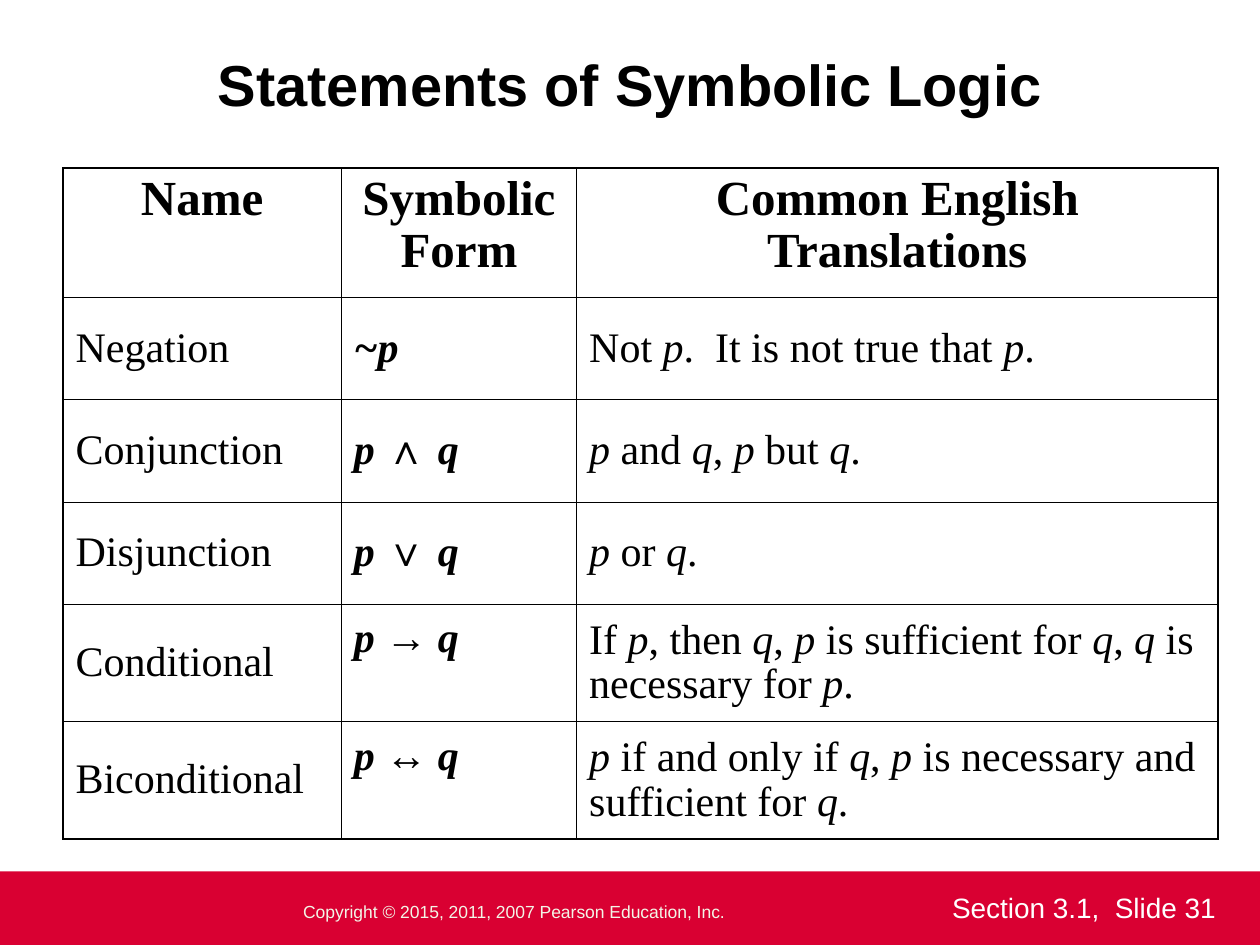
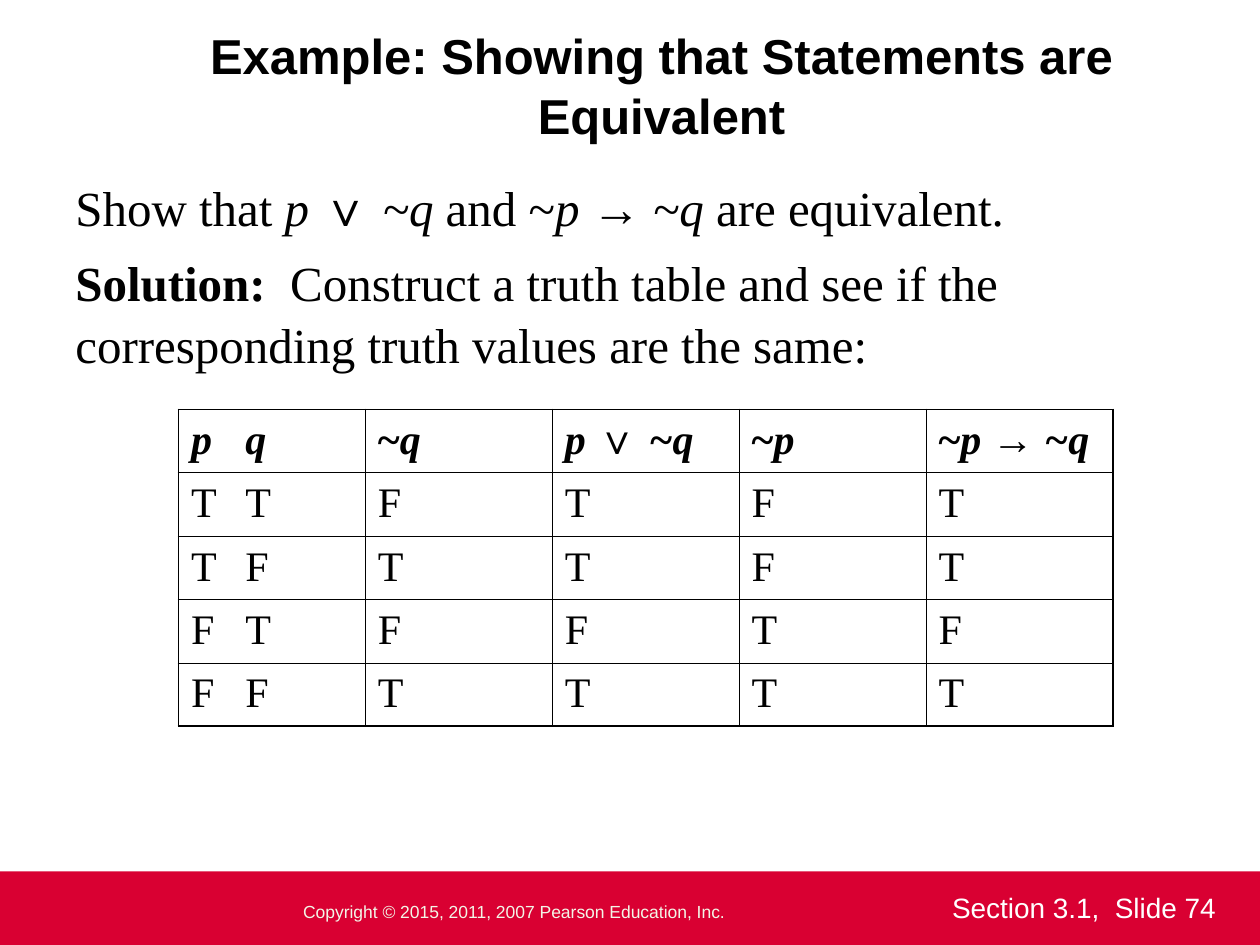
from dataclasses import dataclass
from itertools import groupby

from lxml.etree import SubElement
from pptx import Presentation
from pptx.dml.color import RGBColor
from pptx.enum.shapes import MSO_SHAPE
from pptx.enum.text import MSO_ANCHOR, MSO_AUTO_SIZE, PP_ALIGN
from pptx.oxml.ns import qn
from pptx.util import Pt


@dataclass(frozen=True)
class Theme:
    ink: str = "000000"
    paper: str = "FFFFFF"
    band: str = "D90032"
    copyright: str = "F3F5E7"
    sans: str = "Arial"
    serif: str = "Times New Roman"
    title_size: float = 33
    heading_size: float = 28
    cell_size: float = 24
    section_size: float = 16
    copyright_size: float = 10
    outer_line: float = 1.08
    inner_line: float = 0.45


T = Theme()
LOGIC_SYMBOLS = "∧∨→↔"
SYMBOL_TOP = 7
PAIR_TAB = 31

STATEMENTS = [
    ["|Name|", "|Symbolic Form|", "|Common English Translations|"],
    ["Negation", "|*~p*|", "Not *p*.  It is not true that *p*."],
    ["Conjunction", "|*p ∧ q*|", "*p* and *q*, *p* but *q*."],
    ["Disjunction", "|*p ∨ q*|", "*p* or *q*."],
    ["Conditional", "|*p → q*|",
     "If *p*, then *q*, *p* is sufficient for *q*, *q* is necessary for *p*."],
    ["Biconditional", "|*p ↔ q*|",
     "*p* if and only if *q*, *p* is necessary and sufficient for *q*."],
]

TRUTH_VALUES = [
    ["|*p\tq*|", "|~*q*|", "|*p ∨ ~q*|", "|~*p*|", "|~*p → ~q*|"],
    ["T\tT", "F", "T", "F", "T"],
    ["T\tF", "T", "T", "F", "T"],
    ["F\tT", "F", "F", "T", "F"],
    ["F\tF", "T", "T", "T", "T"],
]


def set_attrs(obj, values):
    for name, value in values.items():
        setattr(obj, name, value)


def add_run(p, text, size, font, color=T.ink, **style):
    r = p.add_run()
    r.text = text
    set_attrs(r.font, {"size": Pt(size), "name": font, **style})
    r.font.color.rgb = RGBColor.from_string(color)


def add_rich_text(p, markup, size):
    """Bars toggle bold, asterisks toggle italic; logic symbols stay upright."""
    for i, chunk in enumerate(markup.split("|")):
        for j, piece in enumerate(chunk.split("*")):
            for is_symbol, chars in groupby(piece, lambda c: c in LOGIC_SYMBOLS):
                add_run(p, "".join(chars), size, T.sans if is_symbol else T.serif,
                        bold=i % 2 == 1, italic=j % 2 == 1 and not is_symbol)


def add_text_box(s, box):
    tf = s.shapes.add_textbox(*map(Pt, box)).text_frame
    tf.word_wrap = True
    return tf


def add_footer(s, number):
    band = s.shapes.add_shape(MSO_SHAPE.RECTANGLE, *map(Pt, (0, 498, 720, 42)))
    band.shadow.inherit = False
    band.fill.solid()
    band.fill.fore_color.rgb = RGBColor.from_string(T.band)
    band.line.fill.background()

    tf = add_text_box(s, (144, 508.5, 270, 24.5))
    set_attrs(tf, {"vertical_anchor": MSO_ANCHOR.MIDDLE, "margin_left": 0,
                   "margin_right": 0, "margin_top": 0, "margin_bottom": 0})
    p = tf.paragraphs[0]
    p.alignment = PP_ALIGN.RIGHT
    add_run(p, "Copyright © 2015, 2011, 2007 Pearson Education, Inc.",
            T.copyright_size, T.sans, T.copyright)

    tf = add_text_box(s, (537, 505.5, 183, 26))
    add_run(tf.paragraphs[0], f"Section 3.1,  Slide {number}",
            T.section_size, T.sans, T.paper)


def add_slide(prs, number, title, box, size):
    s = prs.slides.add_slide(prs.slide_layouts[5])
    sp = s.shapes.title
    set_attrs(sp, dict(zip(("left", "top", "width", "height"), map(Pt, box))))
    sp.fill.solid()
    sp.fill.fore_color.rgb = RGBColor.from_string(T.paper)
    tf = sp.text_frame
    set_attrs(tf, {"vertical_anchor": MSO_ANCHOR.MIDDLE, "word_wrap": True,
                   "auto_size": MSO_AUTO_SIZE.NONE})
    p = tf.paragraphs[0]
    set_attrs(p, {"alignment": PP_ALIGN.CENTER, "line_spacing": 1.03})
    add_run(p, title, size, T.sans, bold=True)
    add_footer(s, number)
    return s


def add_body(s, box, paragraphs):
    tf = add_text_box(s, box)
    for i, markup in enumerate(paragraphs):
        p = tf.add_paragraph() if i else tf.paragraphs[0]
        set_attrs(p, {"line_spacing": 1.06, "space_before": Pt(7 if i else 0)})
        add_rich_text(p, markup, T.heading_size)


def set_borders(cell, outer_sides):
    tcPr = cell._tc.get_or_add_tcPr()
    for side, is_outer in outer_sides.items():
        width = T.outer_line if is_outer else T.inner_line
        ln = SubElement(tcPr, qn(f"a:ln{side}"), w=str(Pt(width)))
        fill = SubElement(ln, qn("a:solidFill"))
        SubElement(fill, qn("a:srgbClr"), val=T.ink)


def add_tab_stop(p, position):
    tabs = SubElement(p._p.get_or_add_pPr(), qn("a:tabLst"))
    SubElement(tabs, qn("a:tab"), pos=str(Pt(position)), algn="l")


def fill_cell(cell, markup, size):
    set_attrs(cell, {"margin_left": Pt(7.2), "margin_right": Pt(7.2),
                     "margin_top": Pt(3.6), "margin_bottom": Pt(3.6),
                     "vertical_anchor": MSO_ANCHOR.MIDDLE})
    p = cell.text_frame.paragraphs[0]
    p.line_spacing = 0.96
    if "\t" in markup:
        add_tab_stop(p, PAIR_TAB)
    add_rich_text(p, markup, size)


def add_grid(s, left, top, widths, heights, rows, header_size=T.cell_size):
    last_row, last_col = len(heights) - 1, len(widths) - 1
    table = s.shapes.add_table(len(heights), len(widths), Pt(left), Pt(top),
                               Pt(sum(widths)), Pt(sum(heights))).table
    set_attrs(table, {"first_row": False, "horz_banding": False})
    for column, width in zip(table.columns, widths):
        column.width = Pt(width)
    for i, (row, height) in enumerate(zip(rows, heights)):
        table.rows[i].height = Pt(height)
        for j, markup in enumerate(row):
            cell = table.cell(i, j)
            fill_cell(cell, markup, T.cell_size if i else header_size)
            set_borders(cell, {"L": j == 0, "R": j == last_col,
                               "T": i == 0, "B": i == last_row})
            cell.fill.background()
    return table


def add_statements_table(s):
    table = add_grid(s, 36, 96, [159, 134.5, 366.5], [74] + [58.5] * 3 + [67] * 2,
                     STATEMENTS, T.heading_size)
    for cell in table.rows[0].cells:
        cell.vertical_anchor = MSO_ANCHOR.TOP
        cell.text_frame.paragraphs[0].alignment = PP_ALIGN.CENTER
    for i in (4, 5):
        set_attrs(table.cell(i, 1), {"vertical_anchor": MSO_ANCHOR.TOP,
                                     "margin_top": Pt(SYMBOL_TOP)})


def main():
    prs = Presentation()
    set_attrs(prs, {"slide_width": Pt(720), "slide_height": Pt(540)})

    s = add_slide(prs, 31, "Statements of Symbolic Logic",
                  (36, 18, 648, 57.6), T.title_size)
    add_statements_table(s)

    s = add_slide(prs, 74, "Example: Showing that Statements are Equivalent",
                  (54, 0, 648, 96), T.heading_size)
    add_body(s, (36, 96, 666, 120), [
        "Show that *p *|∨|* ~q* and ~*p → ~q* are equivalent.",
        "|Solution:|  Construct a truth table and see if the "
        "corresponding truth values are the same:",
    ])
    add_grid(s, 102, 234, [106.8] * 5, [36.2] * 5, TRUTH_VALUES)

    prs.save("out.pptx")


if __name__ == "__main__":
    main()
